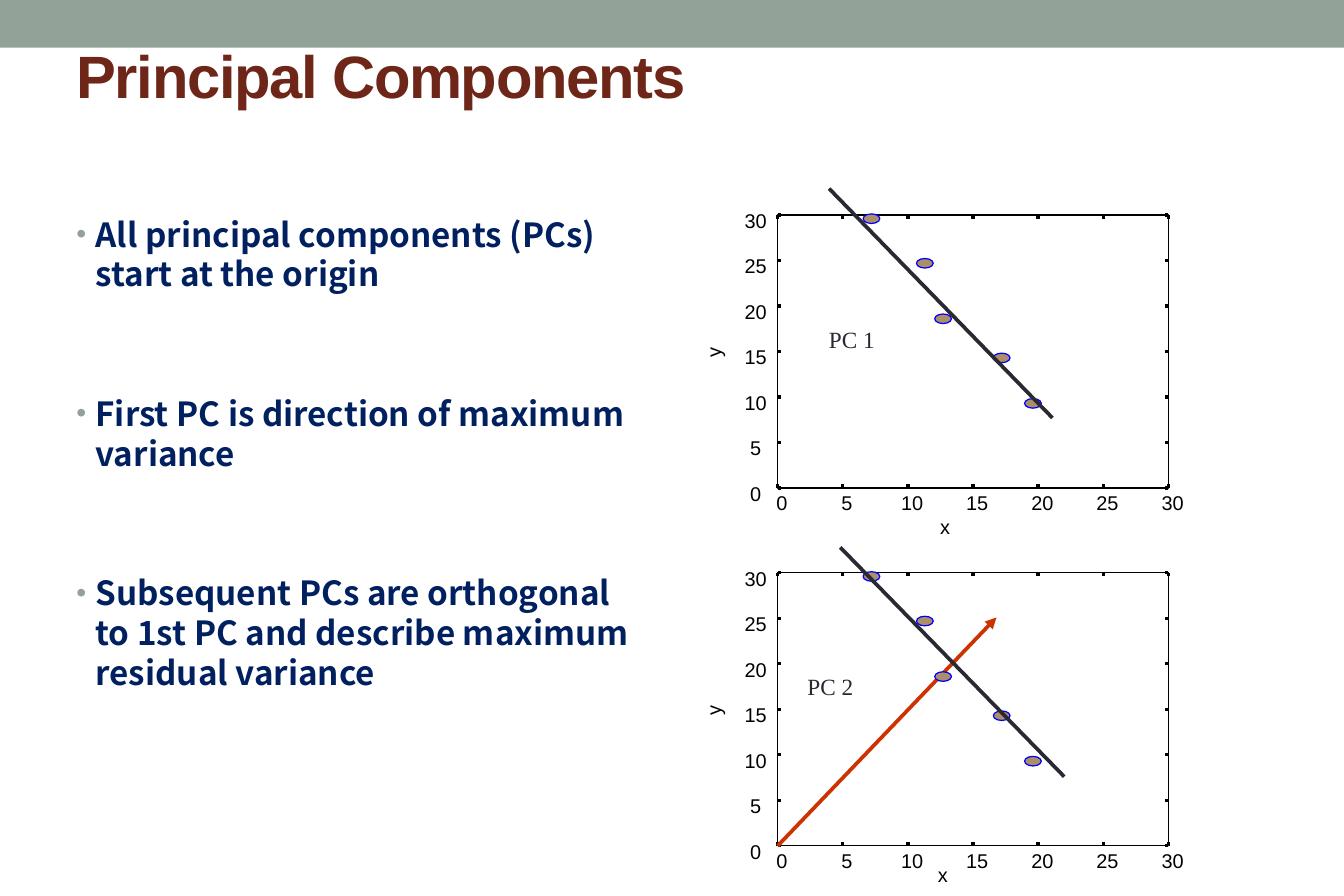
"""Build the Principal Components slide with its two scatter plots."""
from dataclasses import dataclass
from typing import Optional

from lxml import etree
from pptx import Presentation
from pptx import util as u
from pptx.dml.color import RGBColor
from pptx.enum import shapes, text
from pptx.oxml import ns


@dataclass(frozen=True)
class Theme:
    bar: str = "93A299"
    title: str = "6E2619"
    body: str = "002060"
    ink: str = "292934"
    axis: str = "000000"
    dot: str = "AD8F67"
    dot_line: str = "0000FF"
    arrow: str = "CC3300"
    sans: str = "Arial"
    body_font: str = "Noto Sans CJK TC"
    serif: str = "Times New Roman"
    title_size: int = 36
    body_size: int = 20
    note_size: int = 14
    tick_size: int = 12
    hairline: float = 0
    thick: float = 2.25


@dataclass(frozen=True)
class Segment:
    start: tuple[float, float]
    end: tuple[float, float]
    color: str
    arrow: bool = False


@dataclass(frozen=True)
class Plot:
    top: float
    x_title_at: tuple[float, float]
    note: str
    note_at: tuple[float, float]
    component: Segment
    second: Optional[Segment] = None


T = Theme()
COLS, ROWS = 45, 30
WIDTH, HEIGHT = u.Inches(11.25), u.Inches(7.5)
PLOT_LEFT, PLOT_WIDTH, PLOT_HEIGHT = 26.04, 13.08, 9.14
AXIS_MAX, AXIS_STEP = 30, 5
TICK = 0.12
LABEL_WIDTH, LABEL_HEIGHT = 0.76, 0.8
POINTS = [(19.6, 9.3), (17.2, 14.3), (12.7, 18.6), (11.3, 24.7), (7.2, 29.6)]
PLOTS = [
    Plot(7.2, (31.64, 17.24), "PC 1", (27.36, 10.68),
         Segment((3.95, 32.9), (21.1, 7.7), T.ink)),
    Plot(19.18, (31.56, 28.88), "PC 2", (26.64, 22.32),
         Segment((4.8, 32.8), (22, 7.6), T.ink),
         Segment((0, 0), (16.8, 25.1), T.arrow, arrow=True)),
]
BULLETS = [
    "All principal components (PCs) start at the origin",
    "First PC is direction of maximum variance",
    "Subsequent PCs are orthogonal to 1st PC and describe maximum residual variance",
]


def col(n: float) -> int:
    """Return the length of n grid columns."""
    return round(WIDTH * n / COLS)


def row(n: float) -> int:
    """Return the length of n grid rows."""
    return round(HEIGHT * n / ROWS)


def box(left: float, top: float, width: float, height: float) -> tuple[int, int, int, int]:
    """Turn a grid box into slide lengths."""
    return col(left), row(top), col(width), row(height)


def write(p, content: str, *, size: float, color: str, font: str = T.sans, bold: bool = False,
          align=text.PP_ALIGN.LEFT, spacing: int = 0) -> None:
    """Add one formatted run to a paragraph."""
    p.alignment = align
    r = p.add_run()
    r.text = content
    r.font.size, r.font.name, r.font.bold = u.Pt(size), font, bold
    r.font.color.rgb = RGBColor.from_string(color)
    if spacing:
        r.font._element.set("spc", str(spacing))


def set_margins(tf, x: float, y: float) -> None:
    """Set the text frame's insets in columns and rows."""
    tf.margin_left = tf.margin_right = col(x)
    tf.margin_top = tf.margin_bottom = row(y)


def label(s, content: str, at: tuple[float, float, float, float], *, inset: bool = False,
          rotation: float = 0, **style) -> None:
    """Draw a single unwrapped text box."""
    sp = s.shapes.add_textbox(*box(*at))
    sp.rotation = rotation
    tf = sp.text_frame
    tf.word_wrap = False
    set_margins(tf, 0.4 if inset else 0, 0.2 if inset else 0)
    write(tf.paragraphs[0], content, **style)


def draw_shape(s, kind, at: tuple[float, float, float, float], fill: Optional[str],
               line: Optional[str]):
    """Draw a preset shape with a plain fill and outline."""
    sp = s.shapes.add_shape(kind, *box(*at))
    sp.shadow.inherit = False
    if fill:
        sp.fill.solid()
        sp.fill.fore_color.rgb = RGBColor.from_string(fill)
    else:
        sp.fill.background()
    if line:
        sp.line.color.rgb = RGBColor.from_string(line)
        sp.line.width = u.Pt(T.hairline)
    else:
        sp.line.fill.background()
    return sp


def draw_line(s, start: tuple[float, float], end: tuple[float, float], color: str,
              width: float, arrow: bool = False):
    """Draw a straight connector between two grid points."""
    c = s.shapes.add_connector(shapes.MSO_CONNECTOR.STRAIGHT, col(start[0]), row(start[1]),
                               col(end[0]), row(end[1]))
    c.line.color.rgb = RGBColor.from_string(color)
    c.line.width = u.Pt(width)
    if arrow:
        etree.SubElement(c.line._get_or_add_ln(), ns.qn("a:tailEnd"), type="triangle")
    etree.SubElement(c._element.spPr, ns.qn("a:effectLst"))
    return c


def draw_axes(s, plot: Plot) -> None:
    """Draw the frame, ticks and axis labels of a plot."""
    right, bottom = PLOT_LEFT + PLOT_WIDTH, plot.top + PLOT_HEIGHT
    frame = draw_shape(s, shapes.MSO_SHAPE.RECTANGLE,
                       (PLOT_LEFT, plot.top, PLOT_WIDTH, PLOT_HEIGHT), None, T.axis)
    style = dict(size=T.tick_size, color=T.axis, align=text.PP_ALIGN.CENTER)
    for value in range(0, AXIS_MAX + 1, AXIS_STEP):
        x, y = place(plot, (value, value))
        ticks = [((x, plot.top), (x, plot.top + TICK)), ((PLOT_LEFT, y), (PLOT_LEFT + TICK, y)),
                 ((x, bottom), (x, bottom - TICK)), ((right, y), (right - TICK, y))]
        for site, (start, end) in enumerate(ticks):
            c = draw_line(s, start, end, T.axis, T.hairline)
            if value * 2 == AXIS_MAX:
                c.begin_connect(frame, site)
        label(s, str(value), (x - 0.24, bottom + 0.1, LABEL_WIDTH, LABEL_HEIGHT), **style)
        label(s, str(value), (24.92, y - 0.22, LABEL_WIDTH, LABEL_HEIGHT), **style)
    x, y = plot.x_title_at
    label(s, "x", (x - 0.16, y, 0.32, LABEL_HEIGHT), **style)
    label(s, "y", (23.72, plot.top + PLOT_HEIGHT / 2 - 0.36, 0.32, LABEL_HEIGHT),
          rotation=270, **style)


def place(plot: Plot, point: tuple[float, float]) -> tuple[float, float]:
    """Map a data point to the slide grid."""
    return (PLOT_LEFT + PLOT_WIDTH * point[0] / AXIS_MAX,
            plot.top + PLOT_HEIGHT * (1 - point[1] / AXIS_MAX))


def draw_segment(s, plot: Plot, seg: Segment) -> None:
    """Draw a component direction in data units."""
    draw_line(s, place(plot, seg.start), place(plot, seg.end), seg.color, T.thick, seg.arrow)


def draw_plot(s, plot: Plot) -> None:
    """Draw one complete scatter plot."""
    draw_axes(s, plot)
    if plot.second:
        draw_segment(s, plot, plot.second)
    for point in POINTS:
        x, y = place(plot, point)
        draw_shape(s, shapes.MSO_SHAPE.OVAL, (x - 0.28, y - 0.16, 0.56, 0.32), T.dot, T.dot_line)
    draw_segment(s, plot, plot.component)
    label(s, plot.note, (*plot.note_at, 2.36, 1.36), inset=True,
          size=T.note_size, color=T.ink, font=T.serif)


def fill_placeholder(sp, at: tuple[float, float, float, float], anchor):
    """Place a placeholder and return its prepared text frame."""
    sp.left, sp.top, sp.width, sp.height = box(*at)
    tf = sp.text_frame
    tf.auto_size, tf.word_wrap, tf.vertical_anchor = text.MSO_AUTO_SIZE.NONE, True, anchor
    set_margins(tf, 0.32, 0.16)
    return tf


def add_bullet(p) -> None:
    """Give a paragraph its hanging coloured bullet."""
    pPr = p._p.get_or_add_pPr()
    pPr.set("marL", str(col(0.64)))
    pPr.set("indent", str(-col(0.64)))
    color = etree.SubElement(pPr, ns.qn("a:buClr"))
    etree.SubElement(color, ns.qn("a:srgbClr"), val=T.bar)
    etree.SubElement(pPr, ns.qn("a:buSzPct"), val="85000")
    etree.SubElement(pPr, ns.qn("a:buFont"), typeface=T.sans)
    etree.SubElement(pPr, ns.qn("a:buChar"), char="•")


def main() -> None:
    """Build and save the slide."""
    prs = Presentation()
    prs.slide_width, prs.slide_height = WIDTH, HEIGHT
    s = prs.slides.add_slide(prs.slide_layouts[1])
    draw_shape(s, shapes.MSO_SHAPE.RECTANGLE, (0, 0, COLS, 1.6), T.bar, None)
    tf = fill_placeholder(s.shapes.title, (2.24, 0, 40.48, 5), text.MSO_ANCHOR.MIDDLE)
    write(tf.paragraphs[0], "Principal Components", size=T.title_size, color=T.title,
          bold=True, spacing=-80)
    tf = fill_placeholder(s.placeholders[1], (2.24, 7, 19.84, 19.8), text.MSO_ANCHOR.TOP)
    for i, content in enumerate(BULLETS):
        p = tf.add_paragraph() if i else tf.paragraphs[0]
        add_bullet(p)
        p.line_spacing, p.space_before = u.Pt(24), u.Pt(60 if i else 4)
        write(p, content, size=T.body_size, color=T.body, font=T.body_font, bold=True)
    for plot in PLOTS:
        draw_plot(s, plot)
    prs.save("out.pptx")


if __name__ == "__main__":
    main()
